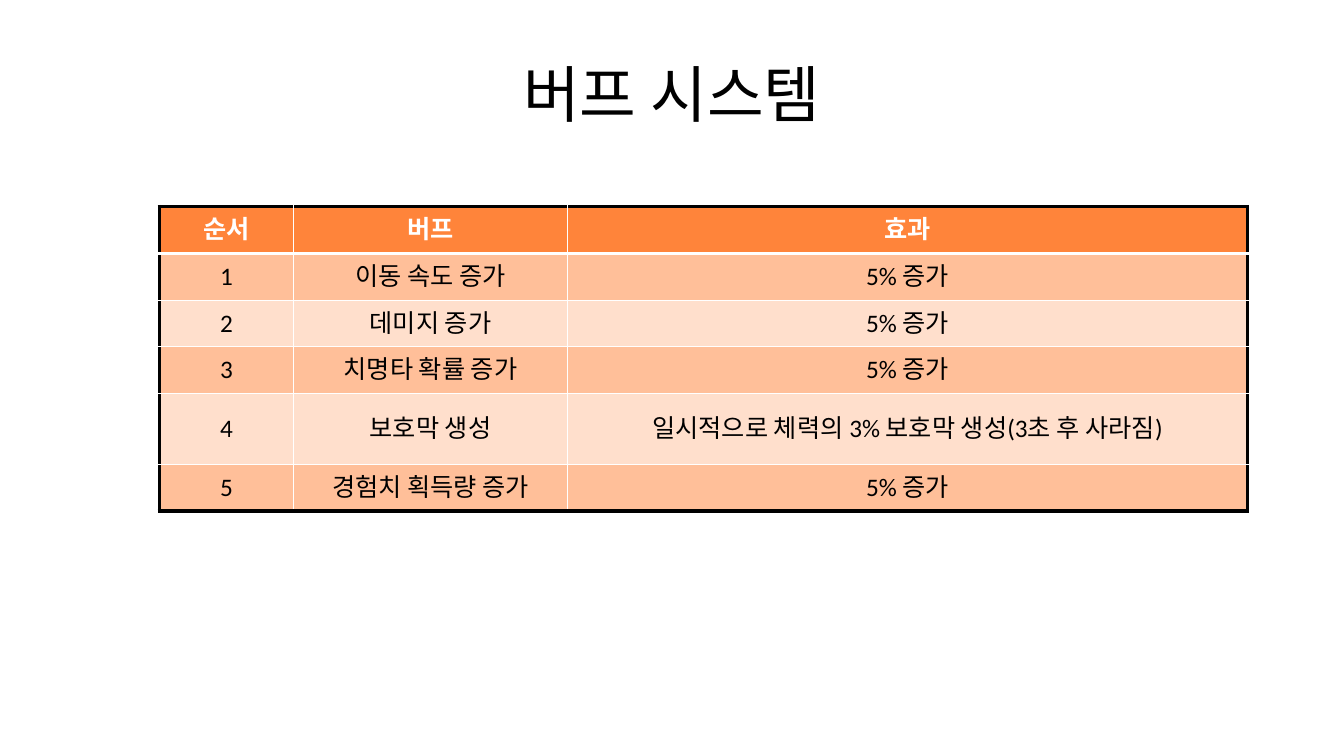
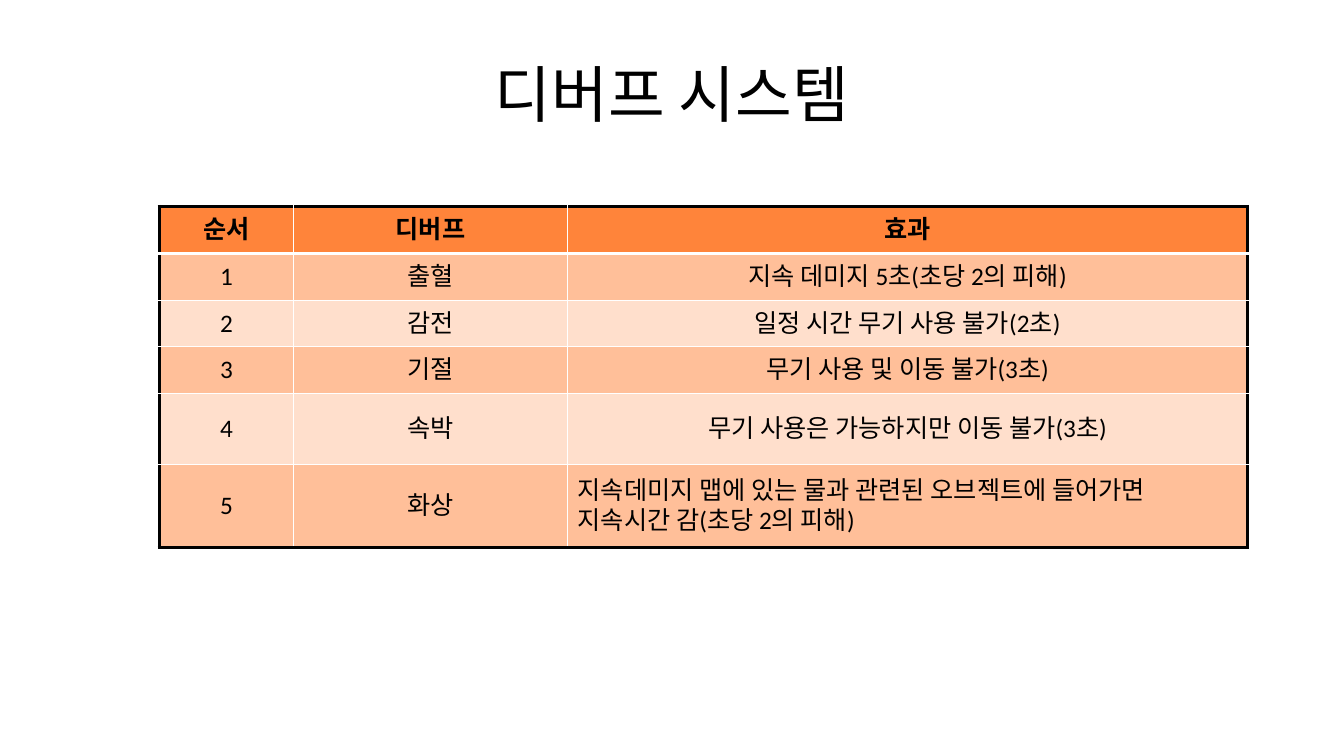
import pptx
import pptx.dml.color
import pptx.enum.text
import pptx.oxml
import pptx.oxml.ns
import pptx.util

Pt = pptx.util.Pt
RGBColor = pptx.dml.color.RGBColor
PP_ALIGN = pptx.enum.text.PP_ALIGN
MSO_ANCHOR = pptx.enum.text.MSO_ANCHOR

BLACK = RGBColor(0x00, 0x00, 0x00)
WHITE = RGBColor(0xFF, 0xFF, 0xFF)
HEADER_FILL = RGBColor(0xFF, 0x84, 0x3A)
BAND_FILLS = (RGBColor(0xFF, 0xDF, 0xCC), RGBColor(0xFF, 0xBF, 0x99))
FONT = "Calibri"

SLIDES = [
    {
        "title": "버프 시스템",
        "header_color": WHITE,
        "left_aligned": set(),
        "last_row_height": 33.4,
        "rows": [
            ("순서", "버프", "효과"),
            ("1", "이동 속도 증가", "5% 증가"),
            ("2", "데미지 증가", "5% 증가"),
            ("3", "치명타 확률 증가", "5% 증가"),
            ("4", "보호막 생성", "일시적으로 체력의 3% 보호막 생성(3초 후 사라짐)"),
            ("5", "경험치 획득량 증가", "5% 증가"),
        ],
    },
    {
        "title": "디버프 시스템",
        "header_color": BLACK,
        "left_aligned": {(5, 2)},
        "last_row_height": 59.6,
        "rows": [
            ("순서", "디버프", "효과"),
            ("1", "출혈", "지속 데미지 5초(초당 2의 피해)"),
            ("2", "감전", "일정 시간 무기 사용 불가(2초)"),
            ("3", "기절", "무기 사용 및 이동 불가(3초)"),
            ("4", "속박", "무기 사용은 가능하지만 이동 불가(3초)"),
            ("5", "화상", "지속데미지 맵에 있는 물과 관련된 오브젝트에 들어가면 "
                         "지속시간 감(초당 2의 피해)"),
        ],
    },
]

TITLE_BOX = (Pt(48), Pt(21.6), Pt(864), Pt(90))
TABLE_LEFT, TABLE_TOP = 114, 147.6
COLUMN_WIDTHS = (95.5, 196, 485.5)
UPPER_ROW_HEIGHTS = (33.4, 33.4, 33.4, 33.4, 50.4)


def format_paragraph(paragraph, size, color, bold=False, alignment=PP_ALIGN.CENTER):
    paragraph.alignment = alignment
    for run in paragraph.runs:
        run.font.size = Pt(size)
        run.font.bold = bold
        run.font.color.rgb = color
        run.font.name = FONT
        run.font._element.find(pptx.oxml.ns.qn("a:latin")).addnext(pptx.oxml.parse_xml(
            f'<a:ea {pptx.oxml.ns.nsdecls("a")} typeface="{FONT}"/>'))


def add_title(slide, text):
    text_frame = slide.shapes.add_textbox(*TITLE_BOX).text_frame
    text_frame.word_wrap = True
    text_frame.vertical_anchor = MSO_ANCHOR.MIDDLE
    text_frame.text = text
    format_paragraph(text_frame.paragraphs[0], 44, BLACK)


def add_border(cell, side, color, width):
    """Draw one cell side (L, R, T or B); call in that order, before the fill."""
    cell._tc.get_or_add_tcPr().append(pptx.oxml.parse_xml(
        f'<a:ln{side} {pptx.oxml.ns.nsdecls("a")} w="{Pt(width)}">'
        f'<a:solidFill><a:srgbClr val="{color}"/></a:solidFill></a:ln{side}>'))


def add_borders(cell, row, column, last_row):
    """Thick black around the table, thick white under the header, thin white inside."""
    outer = {"L": column == 0, "R": column == len(COLUMN_WIDTHS) - 1,
             "T": row == 0, "B": row == last_row}
    under_header = {"T": row == 1, "B": row == 0}
    for side, is_outer in outer.items():
        color = BLACK if is_outer else WHITE
        width = 3 if is_outer or under_header.get(side) else 1
        add_border(cell, side, color, width)


def add_effect_table(slide, content):
    rows = content["rows"]
    row_heights = (*UPPER_ROW_HEIGHTS, content["last_row_height"])
    table = slide.shapes.add_table(
        len(rows), len(COLUMN_WIDTHS), Pt(TABLE_LEFT), Pt(TABLE_TOP),
        Pt(sum(COLUMN_WIDTHS)), Pt(sum(row_heights))).table
    table.horz_banding = False
    for column, width in zip(table.columns, COLUMN_WIDTHS):
        column.width = Pt(width)
    for table_row, height in zip(table.rows, row_heights):
        table_row.height = Pt(height)

    for row, texts in enumerate(rows):
        is_header = row == 0
        for column, text in enumerate(texts):
            cell = table.cell(row, column)
            add_borders(cell, row, column, len(rows) - 1)
            cell.fill.solid()
            cell.fill.fore_color.rgb = HEADER_FILL if is_header else BAND_FILLS[row % 2]
            cell.vertical_anchor = MSO_ANCHOR.MIDDLE
            cell.text_frame.text = text
            is_left = (row, column) in content["left_aligned"]
            format_paragraph(
                cell.text_frame.paragraphs[0], 18,
                content["header_color"] if is_header else BLACK, is_header,
                PP_ALIGN.LEFT if is_left else PP_ALIGN.CENTER)


def main():
    presentation = pptx.Presentation()
    presentation.slide_width, presentation.slide_height = Pt(960), Pt(540)
    for content in SLIDES:
        slide = presentation.slides.add_slide(presentation.slide_layouts[6])
        add_title(slide, content["title"])
        add_effect_table(slide, content)
    presentation.save("out.pptx")


if __name__ == "__main__":
    main()
